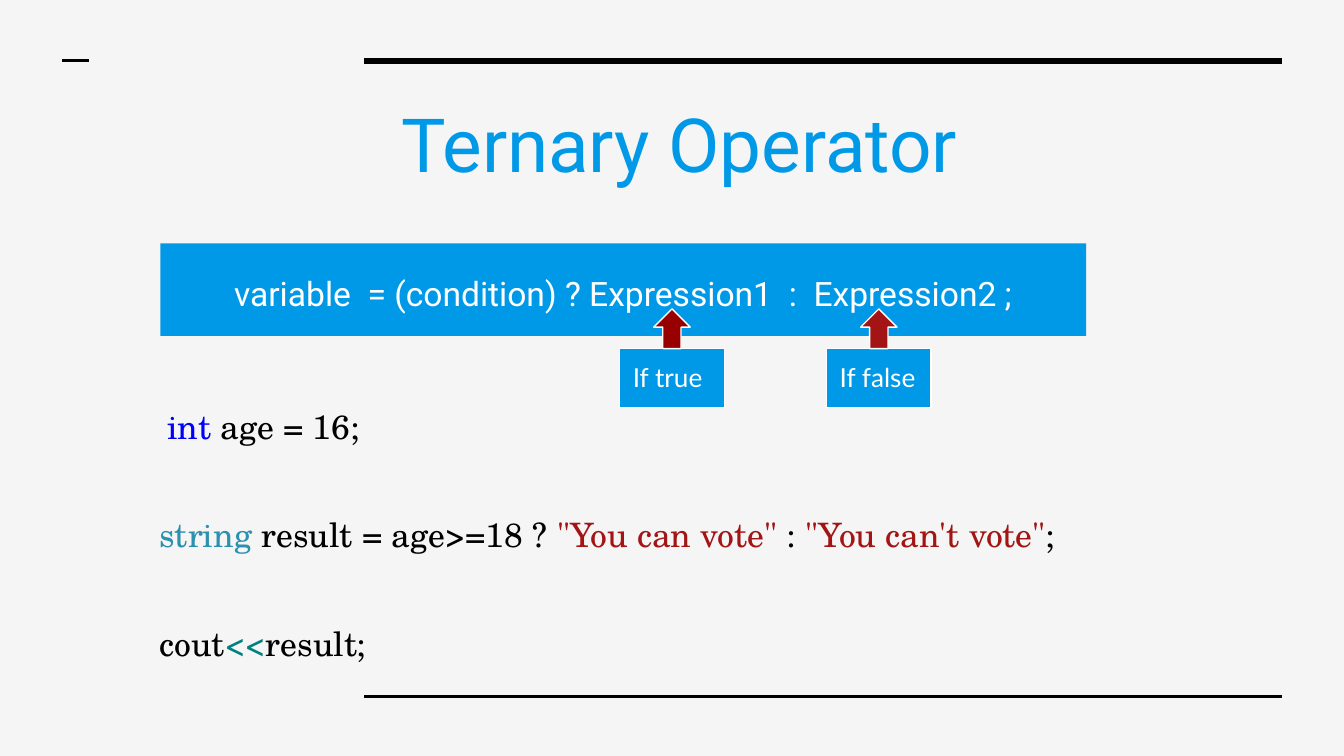
from dataclasses import dataclass

from lxml.etree import SubElement
from pptx import Presentation
from pptx.dml.color import RGBColor
from pptx.enum.shapes import MSO_CONNECTOR, MSO_SHAPE
from pptx.enum.text import MSO_ANCHOR, MSO_AUTO_SIZE, PP_ALIGN
from pptx.oxml.ns import qn
from pptx.util import Cm, Pt


@dataclass(frozen=True)
class Theme:
    background: str = "F5F5F5"
    blue: str = "0099E8"
    white: str = "FFFFFF"
    black: str = "000000"
    dark_red: str = "980000"
    keyword: str = "0000FF"
    type_name: str = "2B91AF"
    string: str = "A31515"
    operator: str = "008080"
    heading_font: str = "Roboto"
    label_font: str = "Lato"
    code_font: str = "TeX Gyre Schola"
    title_size: int = 40
    body_size: int = 18
    label_size: int = 14


THEME = Theme()

# Each line of code: extra indent in cm, then (text, colour) runs
CODE = [
    (0.14, [("int", THEME.keyword), (" age = 16;", THEME.black)]),
    (0, [
        ("string", THEME.type_name),
        (" result = age>=18 ? ", THEME.black),
        ('"You can vote"', THEME.string),
        (" : ", THEME.black),
        ('"You can\'t vote"', THEME.string),
        (";", THEME.black),
    ]),
    (0, [
        ("cout", THEME.black),
        ("<<", THEME.operator),
        ("result;", THEME.black),
    ]),
]
# Label, left edge in cm, arrow colour
CALLOUTS = [
    ("If true", 11.71, THEME.dark_red),
    ("If false", 15.62, THEME.string),
]


def rgb(value):
    return RGBColor.from_string(value)


def add_run(p, text, font, size, color):
    r = p.add_run()
    r.text = text
    r.font.name = font
    r.font.size = Pt(size)
    r.font.color.rgb = rgb(color)


def set_frame(tf, anchor=MSO_ANCHOR.TOP):
    """Give a text frame equal insets, wrapping and a fixed size."""
    tf.margin_left = tf.margin_right = Cm(0.25)
    tf.margin_top = tf.margin_bottom = Cm(0.25)
    tf.word_wrap = True
    tf.auto_size = MSO_AUTO_SIZE.NONE
    tf.vertical_anchor = anchor


def set_indent(p, length):
    p._p.get_or_add_pPr().set("marL", str(length))


def add_rule(s, left, right, y, width):
    line = s.shapes.add_connector(
        MSO_CONNECTOR.STRAIGHT, Cm(left), Cm(y), Cm(right), Cm(y))
    line.line.color.rgb = rgb(THEME.black)
    line.line.width = Pt(width)
    SubElement(line._element.spPr, qn("a:effectLst"))


def add_block(s, kind, left, top, width, height, fill, outline=None):
    sp = s.shapes.add_shape(kind, Cm(left), Cm(top), Cm(width), Cm(height))
    sp.shadow.inherit = False
    sp.fill.solid()
    sp.fill.fore_color.rgb = rgb(fill)
    if outline:
        sp.line.color.rgb = rgb(outline)
        sp.line.width = Pt(0.75)
    else:
        sp.line.fill.background()
    return sp


def add_title(s, text):
    title = s.shapes.title
    title.left, title.top = Cm(6.99), Cm(1.6)
    title.width, title.height = Cm(17.25), Cm(1.75)
    set_frame(title.text_frame)
    p = title.text_frame.paragraphs[0]
    p.alignment = PP_ALIGN.LEFT
    set_indent(p, Cm(0.35))
    add_run(p, text, THEME.heading_font, THEME.title_size, THEME.blue)


def add_code(s):
    box = s.shapes.add_textbox(Cm(2.08), Cm(7.14), Cm(22.15), Cm(6.88))
    tf = box.text_frame
    set_frame(tf)
    for i, (indent, runs) in enumerate(CODE):
        p = tf.add_paragraph() if i else tf.paragraphs[0]
        p.line_spacing = 1.36
        p.space_after = Pt(29)
        set_indent(p, Cm(0.69 + indent))
        for text, color in runs:
            add_run(p, text, THEME.code_font, THEME.body_size, color)


def add_syntax_banner(s, text):
    sp = add_block(s, MSO_SHAPE.RECTANGLE, 3.03, 4.6, 17.5, 1.75, THEME.blue)
    set_frame(sp.text_frame, MSO_ANCHOR.MIDDLE)
    p = sp.text_frame.paragraphs[0]
    p.alignment = PP_ALIGN.CENTER
    p.line_spacing = 1.15
    p.space_after = Pt(12)
    add_run(p, text, THEME.heading_font, THEME.body_size, THEME.white)


def add_callout(s, text, left, arrow_color):
    """Add a label with an arrow centred above it."""
    width, arrow_width = 1.98, 0.69
    sp = add_block(s, MSO_SHAPE.RECTANGLE, left, 6.59, width, 1.11,
                   THEME.blue, THEME.white)
    set_frame(sp.text_frame)
    p = sp.text_frame.paragraphs[0]
    p.alignment = PP_ALIGN.LEFT
    add_run(p, text, THEME.label_font, THEME.label_size, THEME.white)
    add_block(s, MSO_SHAPE.UP_ARROW, left + (width - arrow_width) / 2, 5.84,
              arrow_width, 0.75, arrow_color, THEME.white)


def main():
    prs = Presentation()
    prs.slide_width, prs.slide_height = Cm(25.4), Cm(14.29)
    s = prs.slides.add_slide(prs.slide_layouts[5])
    s.background.fill.solid()
    s.background.fill.fore_color.rgb = rgb(THEME.background)

    add_rule(s, 6.88, 24.23, 1.15, 3)
    add_rule(s, 6.88, 24.23, 13.16, 1.5)
    add_rule(s, 1.18, 1.69, 1.15, 1.5)
    add_title(s, "Ternary Operator")
    add_code(s)
    add_syntax_banner(
        s, "variable  = (condition) ? Expression1  :  Expression2 ;")
    for text, left, arrow_color in CALLOUTS:
        add_callout(s, text, left, arrow_color)
    prs.save("out.pptx")


if __name__ == "__main__":
    main()
